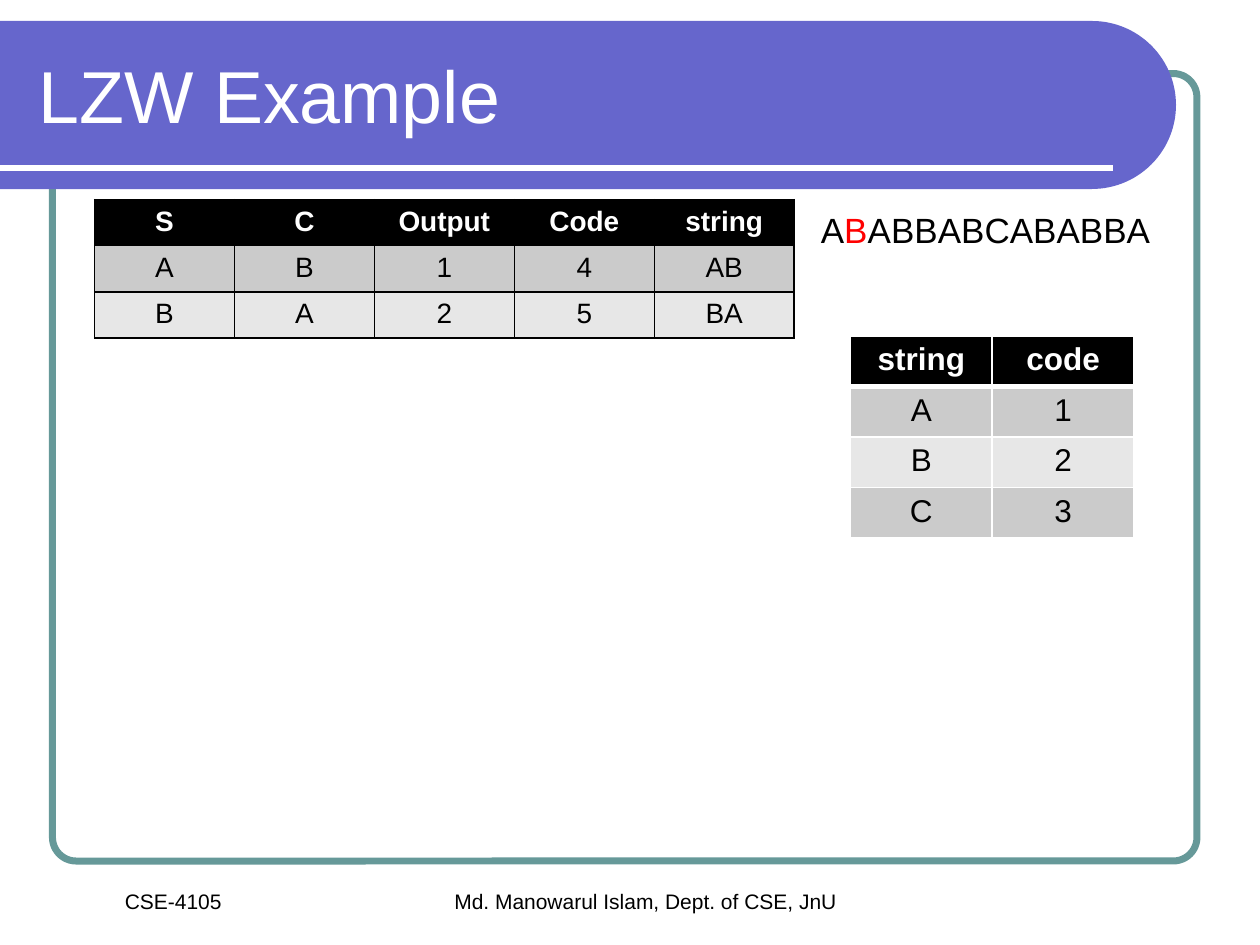
import math

import pptx
import pptx.dml.color
import pptx.enum.shapes
import pptx.enum.text
import pptx.oxml
import pptx.oxml.ns
import pptx.util

COLS, ROWS = 120, 90
WIDE, HIGH = pptx.util.Inches(10), pptx.util.Inches(7.5)
ALIGN = pptx.enum.text.PP_ALIGN
ANCHOR = pptx.enum.text.MSO_ANCHOR
BLACK, WHITE, RED = "000000", "FFFFFF", "FF0000"
TEAL, BLUE = "669999", "6666CC"
BANDS = "CBCBCB", "E7E7E7"


def across(n):
    return round(WIDE * n / COLS)


def down(n):
    return round(HIGH * n / ROWS)


def place(x, y, w, h):
    return across(x), down(y), across(w), down(h)


def paint(part, color):
    if hasattr(part, "solid"):
        part.solid()
        part.fore_color.rgb = pptx.dml.color.RGBColor.from_string(color)
    else:
        part.rgb = pptx.dml.color.RGBColor.from_string(color)


def style(font, size, color, bold=False):
    font.name = "Arial"
    font.size = pptx.util.Pt(size)
    font.bold = bold
    paint(font.color, color)


def add_frame(slide):
    kind = pptx.enum.shapes.MSO_SHAPE.ROUNDED_RECTANGLE
    frame = slide.shapes.add_shape(kind, *place(5, 7, 109, 75))
    frame.adjustments[0] = 0.03
    frame.shadow.inherit = False
    frame.fill.background()
    paint(frame.line.color, TEAL)
    frame.line.width = pptx.util.Pt(4)


def add_banner(slide):
    top, radius, mid = 2, 8, 104
    turns = [math.radians(a) for a in range(-90, 91, 3)]
    arc = [(across(mid + radius * math.cos(t)),
            down(top + radius + radius * math.sin(t))) for t in turns]
    pen = slide.shapes.build_freeform(0, down(top))
    pen.add_line_segments(arc + [(0, down(top + 2 * radius))], close=True)
    banner = pen.convert_to_shape()
    banner.shadow.inherit = False
    paint(banner.fill, BLUE)
    banner.line.fill.background()


def add_rule(slide, x, y, end):
    kind = pptx.enum.shapes.MSO_CONNECTOR.STRAIGHT
    rule = slide.shapes.add_connector(kind, across(x), down(y), across(end), down(y))
    paint(rule.line.color, WHITE)
    rule.line.width = pptx.util.Pt(3)
    props = rule._element.spPr
    props.append(props.makeelement(pptx.oxml.ns.qn("a:effectLst"), {}))


def add_text(slide, box, text, size, color=BLACK, align=ALIGN.LEFT, anchor=ANCHOR.TOP):
    frame = slide.shapes.add_textbox(*place(*box)).text_frame
    frame.word_wrap = True
    frame.vertical_anchor = anchor
    para = frame.paragraphs[0]
    para.text = text
    para.alignment = align
    style(para.font, size, color)
    return para


def add_input(slide):
    para = add_text(slide, (77, 20, 49, 6), "", 20)
    para.line_spacing = 0.8
    props = para._p.get_or_add_pPr()
    indent = pptx.util.Inches(0.38)
    props.set("marL", str(indent))
    props.set("indent", str(-indent))
    for text, color in (("A", BLACK), ("B", RED), ("ABBABCABABBA", BLACK)):
        run = para.add_run()
        run.text = text
        style(run.font, 20, color)


def add_edge(cell, side, color, width):
    space = pptx.oxml.ns.nsdecls("a")
    cell._tc.get_or_add_tcPr().append(pptx.oxml.parse_xml(
        f'<a:ln{side} {space} w="{pptx.util.Pt(width)}"><a:solidFill>'
        f'<a:srgbClr val="{color}"/></a:solidFill></a:ln{side}>'))


def add_grid(slide, x, y, w, h, rows, size, edge, rule):
    many, deep = len(rows[0]), len(rows)
    grid = slide.shapes.add_table(deep, many, *place(x, y, w * many, h * deep)).table
    for col in grid.columns:
        col.width = across(w)
    for r, row in enumerate(rows):
        grid.rows[r].height = down(h)
        for c, text in enumerate(row):
            cell = grid.cell(r, c)
            head = r == 0
            for side in "LRTB":
                thick = (r, side) in ((0, "B"), (1, "T"))
                add_edge(cell, side, edge, rule if thick else 1)
            paint(cell.fill, BLACK if head else BANDS[(r - 1) % 2])
            para = cell.text_frame.paragraphs[0]
            para.text = text
            para.alignment = ALIGN.CENTER
            style(para.font, size, WHITE if head else BLACK, head)


def main():
    deck = pptx.Presentation()
    deck.slide_width, deck.slide_height = WIDE, HIGH
    slide = deck.slides.add_slide(deck.slide_layouts[6])
    add_frame(slide)
    add_banner(slide)
    add_rule(slide, 0, 16, 106)
    add_text(slide, (21, 84, 81, 7.3), "Md. Manowarul Islam, Dept. of CSE, JnU", 12,
             align=ALIGN.CENTER)
    add_text(slide, (3, 84, 27, 3.6), "CSE-4105", 12, align=ALIGN.CENTER)
    add_text(slide, (2.5, 3, 105.2, 12), "LZW Example", 42, WHITE, anchor=ANCHOR.MIDDLE)
    add_input(slide)
    steps = [("S", "C", "Output", "Code", "string"),
             ("A", "B", "1", "4", "AB"),
             ("B", "A", "2", "5", "BA")]
    add_grid(slide, 9, 19, 13.33, 4.4, steps, 16, BLACK, 1)
    codes = [("string", "code"), ("A", "1"), ("B", "2"), ("C", "3")]
    add_grid(slide, 81, 32, 13.5, 4.8, codes, 18, WHITE, 3)
    deck.save("out.pptx")


if __name__ == "__main__":
    main()
